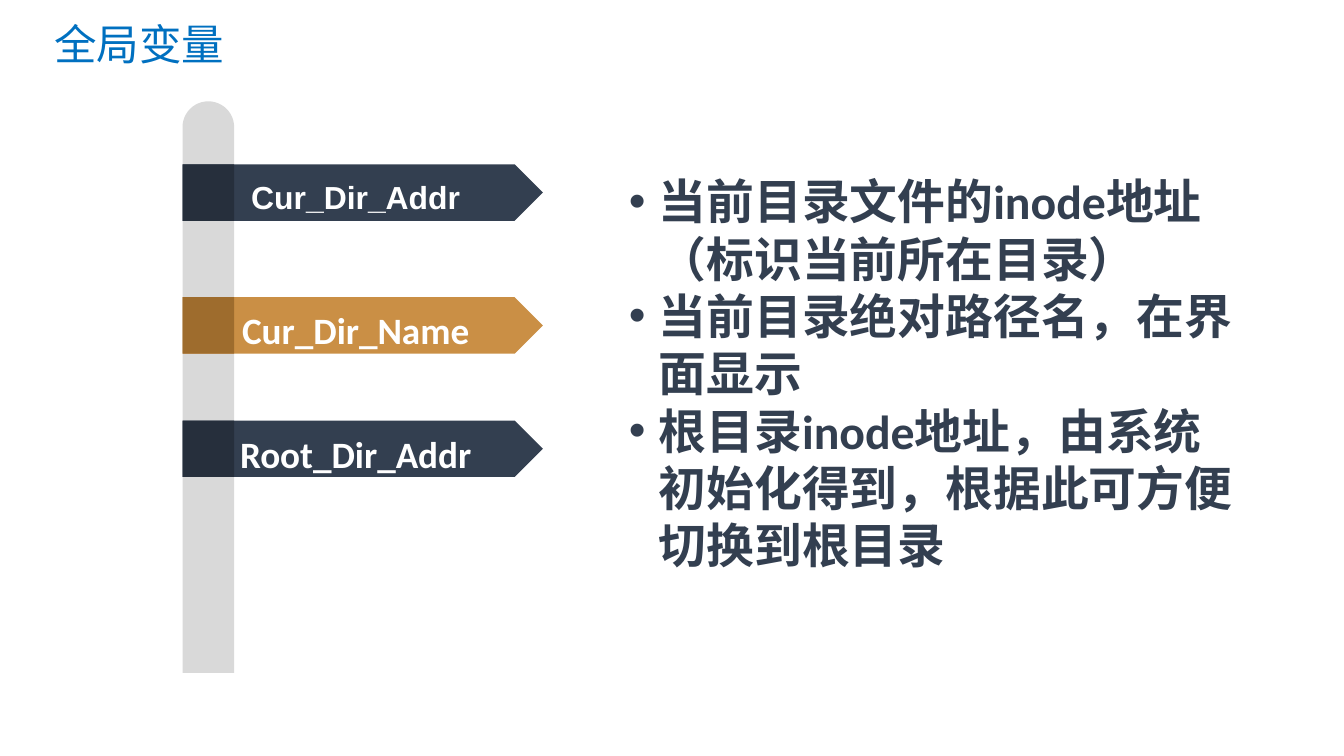
"""Build the slide that explains the global variables of a file system."""
from lxml import etree
from pptx import Presentation
from pptx import util as u
from pptx.dml.color import RGBColor
from pptx.enum import shapes, text
from pptx.oxml.ns import qn

NAVY = RGBColor(0x33, 0x3F, 0x50)
DARK_NAVY = RGBColor(0x26, 0x2F, 0x3C)
OCHRE = RGBColor(0xCA, 0x8F, 0x45)
DARK_OCHRE = RGBColor(0x9E, 0x6C, 0x2D)
GREY = RGBColor(0xD9, 0xD9, 0xD9)
BLUE = RGBColor(0x00, 0x70, 0xC0)
WHITE = RGBColor(0xFF, 0xFF, 0xFF)

TITLE = "全局变量"
SIGNS = [
    ("Cur_Dir_Addr", 123.84, "Arial", 24, NAVY, DARK_NAVY),
    ("Cur_Dir_Name", 223.92, "Calibri", 28, OCHRE, DARK_OCHRE),
    ("Root_Dir_Addr", 316.8, "Calibri", 28, NAVY, DARK_NAVY),
]
MEANINGS = [
    "当前目录文件的inode地址（标识当前所在目录）",
    "当前目录绝对路径名，在界面显示",
    "根目录inode地址，由系统初始化得到，根据此可方便切换到根目录",
]

POST_LEFT, POST_TOP, POST_WIDTH, POST_HEIGHT = 137.52, 76.32, 38.88, 430.56
SIGN_WIDTH, SIGN_HEIGHT = 271.44, 42.48
BULLET_INDENT = 22.5


def add_block(slide, preset, left, top, width, height, color):
    block = slide.shapes.add_shape(preset, *map(u.Pt, (left, top, width, height)))
    block.shadow.inherit = False
    block.fill.solid()
    block.fill.fore_color.rgb = color
    block.line.fill.background()
    return block


def style(paragraph, font_name, size, color, bold=False):
    for run in paragraph.runs:
        run.font.name = font_name
        run.font.size = u.Pt(size)
        run.font.bold = bold
        run.font.color.rgb = color


def add_bullet(paragraph):
    properties = paragraph._p.get_or_add_pPr()
    properties.set("marL", str(u.Pt(BULLET_INDENT)))
    properties.set("indent", str(-u.Pt(BULLET_INDENT)))
    etree.SubElement(properties, qn("a:buFont")).set("typeface", "Arial")
    etree.SubElement(properties, qn("a:buChar")).set("char", "•")


def add_sign(slide, label, top, font_name, size, color, shade):
    sign = add_block(slide, shapes.MSO_SHAPE.PENTAGON, POST_LEFT, top,
                     SIGN_WIDTH, SIGN_HEIGHT, color)
    sign.text_frame.text = label
    sign.text_frame.vertical_anchor = text.MSO_ANCHOR.MIDDLE
    caption = sign.text_frame.paragraphs[0]
    caption.alignment = text.PP_ALIGN.CENTER
    caption.line_spacing = 1.2
    style(caption, font_name, size, WHITE, bold=True)
    add_block(slide, shapes.MSO_SHAPE.RECTANGLE, POST_LEFT, top,
              POST_WIDTH, SIGN_HEIGHT, shade)


def add_text(slide, left, top, width, height, lines):
    box = slide.shapes.add_textbox(*map(u.Pt, (left, top, width, height)))
    frame = box.text_frame
    frame.text = "\n".join(lines)
    frame.word_wrap = True
    frame.auto_size = text.MSO_AUTO_SIZE.SHAPE_TO_FIT_TEXT
    return frame


def main():
    deck = Presentation()
    deck.slide_width, deck.slide_height = u.Pt(1012.32), u.Pt(569.52)
    slide = deck.slides.add_slide(deck.slide_layouts[6])

    post = add_block(slide, shapes.MSO_SHAPE.ROUND_2_SAME_RECTANGLE, POST_LEFT,
                     POST_TOP, POST_WIDTH, POST_HEIGHT, GREY)
    post.adjustments[0], post.adjustments[1] = 0.5, 0
    for sign in SIGNS:
        add_sign(slide, *sign)

    title = add_text(slide, 41.04, 13.68, 311.04, 38.88, [TITLE])
    title.margin_left = title.margin_right = title.margin_top = title.margin_bottom = 0
    title.vertical_anchor = text.MSO_ANCHOR.MIDDLE
    style(title.paragraphs[0], "Arial", 32, BLUE)

    meanings = add_text(slide, 466.56, 126, 475.92, 312.48, MEANINGS)
    for meaning in meanings.paragraphs:
        add_bullet(meaning)
        style(meaning, "Calibri", 36, NAVY, bold=True)

    deck.save("out.pptx")


if __name__ == "__main__":
    main()
